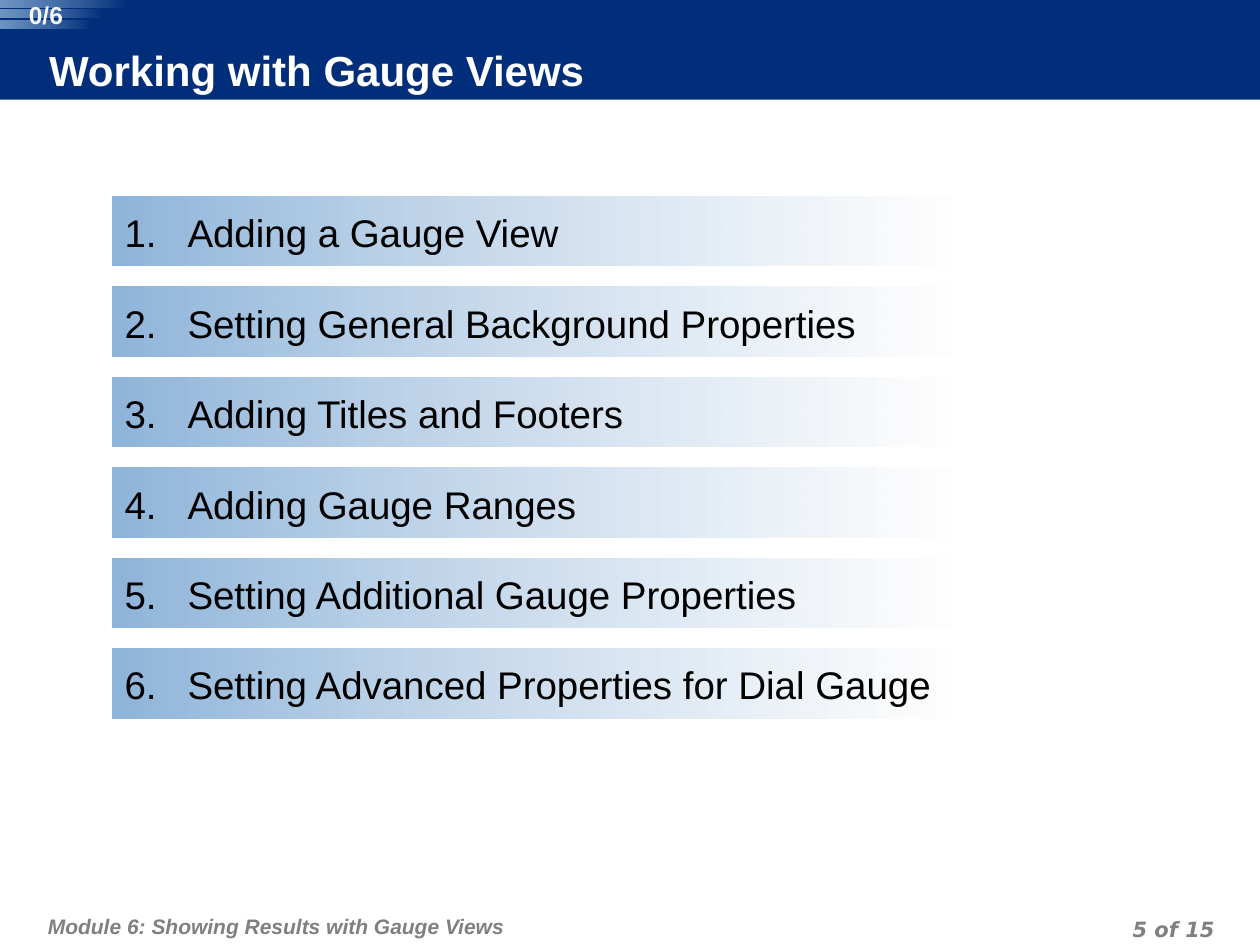
"""Build the gauge views agenda slide on a grid of 100 columns by 75 rows."""
from typing import NamedTuple

from lxml import etree
from pptx import Presentation
from pptx import util as u
from pptx.dml.color import RGBColor
from pptx.enum import shapes, text
from pptx.oxml import ns

COLS, ROWS = 100, 75
HUES = {"navy": "002E7A", "sky": "90B5DA", "mist": "FEFEFE", "white": "FFFFFF",
        "pale": "F8F8F8", "gray": "808080", "black": "000000"}
TOPICS = ["Adding a Gauge View", "Setting General Background Properties",
          "Adding Titles and Footers", "Adding Gauge Ranges",
          "Setting Additional Gauge Properties",
          "Setting Advanced Properties for Dial Gauge"]
PITCH = 7.18


class Area(NamedTuple):
    """Place on the grid, in columns and rows."""
    col: float
    row: float
    wide: float
    high: float


class Stop(NamedTuple):
    """Gradient stop with its opacity in percent."""
    hue: str
    alpha: int = 100


class Stripe(NamedTuple):
    """Counter stripe: top, width and height on the grid."""
    row: float
    wide: float
    high: float


STRIPES = [Stripe(0, 10.1, 0.6), Stripe(0.8, 8.2, 0.6), Stripe(1.6, 7.3, 0.7)]
FADE = (Stop("mist", 75), Stop("sky"))
GLOW = (Stop("navy"), Stop("sky", 76))

deck = Presentation()
deck.slide_width, deck.slide_height = u.Inches(10), u.Inches(7.5)


def color(hue: str) -> RGBColor:
    """Look up a named colour."""
    return RGBColor.from_string(HUES[hue])


def place(area: Area) -> tuple[int, ...]:
    """Turn grid cells into slide lengths."""
    x, y = deck.slide_width / COLS, deck.slide_height / ROWS
    return tuple(round(n * m) for n, m in zip(area, (x, y, x, y)))


def add_bar(host, area: Area, stops: tuple[Stop, ...] = ()):
    """Draw a plain navy bar, or one that fades from right to left."""
    kind = shapes.MSO_SHAPE.ROUNDED_RECTANGLE if stops else shapes.MSO_SHAPE.RECTANGLE
    bar = host.add_shape(kind, *place(area))
    bar.shadow.inherit = False
    bar.line.fill.background()
    if not stops:
        bar.fill.solid()
        bar.fill.fore_color.rgb = color("navy")
        return bar
    bar.adjustments[0] = 0
    bar.fill.gradient()
    bar.fill.gradient_angle = 180
    for mark, stop, spot in zip(bar.fill.gradient_stops, stops, (0, 1)):
        mark.color.rgb = color(stop.hue)
        mark.position = spot
    tints = bar._element.spPr.iter(ns.qn("a:srgbClr"))
    for tint, stop in zip(tints, stops):
        if stop.alpha < 100:
            etree.SubElement(tint, ns.qn("a:alpha"), val=str(stop.alpha * 1000))
    return bar


def number(para, start: int) -> None:
    """Give a paragraph an automatic number and a hanging indent."""
    props = para._p.get_or_add_pPr()
    props.set("marL", str(u.Inches(0.5)))
    props.set("indent", str(-u.Inches(0.5)))
    tint = etree.SubElement(props, ns.qn("a:buClr"))
    etree.SubElement(tint, ns.qn("a:srgbClr"), val=HUES["black"])
    etree.SubElement(props, ns.qn("a:buAutoNum"), type="arabicPeriod", startAt=str(start))


def write(box, words: str, *, size: float, hue: str, face: str = "Arial",
          bold: bool = False, slant: bool = False, side: str = "LEFT",
          anchor: str = "TOP", pads: tuple[float, ...] = (0, 0, 0, 0),
          lead: float | None = None, start: int | None = None) -> None:
    """Put one formatted paragraph into a shape."""
    frame = box.text_frame
    frame.word_wrap = True
    frame.vertical_anchor = getattr(text.MSO_ANCHOR, anchor)
    (frame.margin_left, frame.margin_top,
     frame.margin_right, frame.margin_bottom) = map(u.Inches, pads)
    para = frame.paragraphs[0]
    para.alignment = getattr(text.PP_ALIGN, side)
    if lead:
        para.line_spacing = u.Pt(lead)
    if start:
        number(para, start)
    run = para.add_run()
    run.text = words
    font = run.font
    font.name, font.size, font.bold, font.italic = face, u.Pt(size), bold, slant
    font.color.rgb = color(hue)


def add_text(host, area: Area, words: str, **form) -> None:
    """Add a text box with one paragraph."""
    write(host.add_textbox(*place(area)), words, **form)


def main() -> None:
    """Draw the slide and save it."""
    slide = deck.slides.add_slide(deck.slide_layouts[6])
    tree = slide.shapes
    add_bar(tree, Area(0, 0, COLS, 7.9))
    foot = dict(size=12, hue="gray", bold=True, slant=True, lead=18)
    add_text(tree, Area(3.3, 71, 61.8, 4), "Module 6: Showing Results with Gauge Views",
             pads=(0.05, 0.1, 0.05, 0.05), **foot)
    add_text(tree, Area(73.6, 72.2, 23.3, 2.5), "5 of 15", face="DejaVu Sans",
             side="RIGHT", pads=(0.05, 0, 0.05, 0), **foot)
    title = add_bar(tree, Area(3.9, 3.8, 78.7, 4))
    write(title, "Working with Gauge Views", size=24, hue="white", bold=True,
          anchor="MIDDLE", pads=(0, 0, 0.05, 0.05))
    for step, topic in enumerate(TOPICS):
        bar = add_bar(tree, Area(8.9, 15.6 + step * PITCH, 66.6, 5.5), FADE)
        write(bar, topic, size=22, hue="black", pads=(0.1, 0.1, 0.1, 0.05),
              start=step + 1)
    count = tree.add_group_shape().shapes
    for stripe in STRIPES:
        add_bar(count, Area(0, *stripe), GLOW)
    add_text(count, Area(1.1, 0, 5.1, 2.3), "0/6", size=14, hue="pale",
             bold=True, side="CENTER")
    deck.save("out.pptx")


if __name__ == "__main__":
    main()
